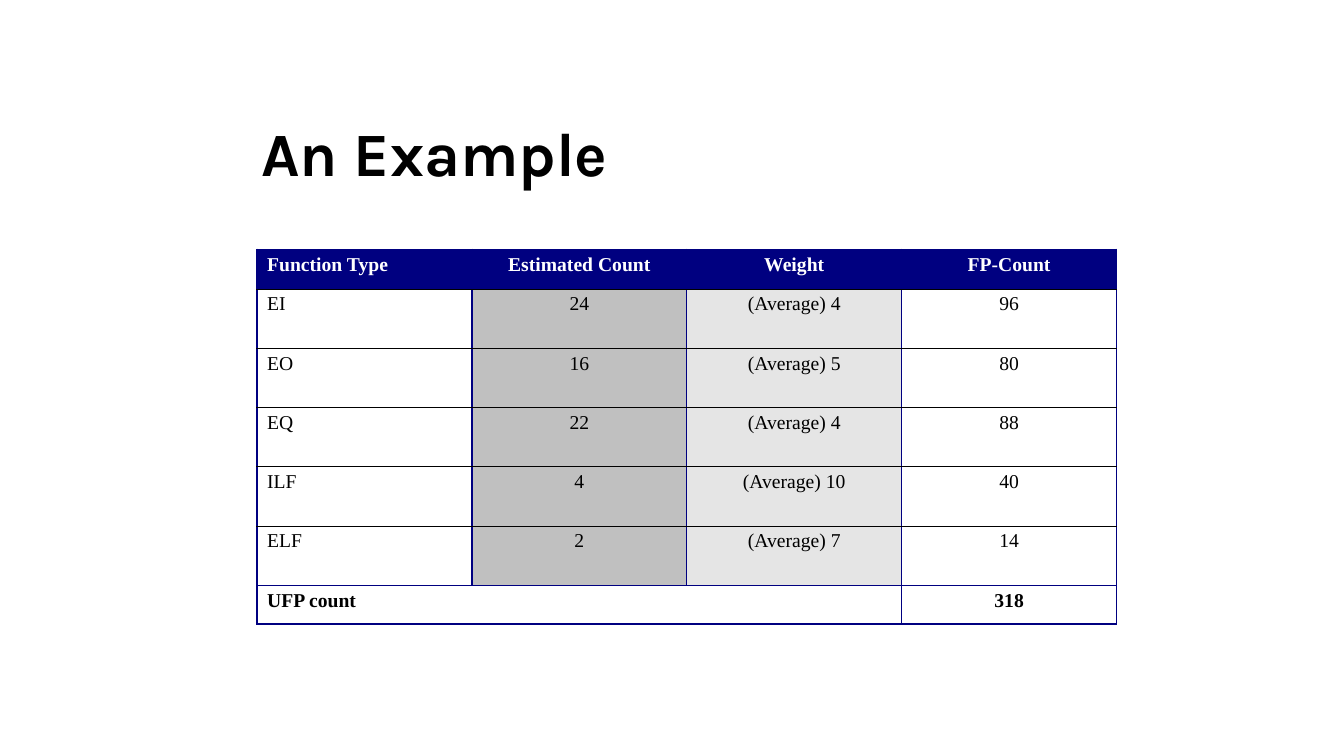
import pptx
import pptx.dml.color
import pptx.enum.text
import pptx.oxml.ns
import pptx.util
from lxml import etree

Pt = pptx.util.Pt
ALIGN = pptx.enum.text.PP_ALIGN
COLORS = {"ink": "000000", "paper": "FFFFFF", "navy": "000080",
          "count": "C0C0C0", "weight": "E5E5E5"}
HEADINGS = ["Function Type", "Estimated Count", "Weight", "FP-Count"]
FUNCTIONS = [
    ["EI", "24", "(Average) 4", "96"],
    ["EO", "16", "(Average) 5", "80"],
    ["EQ", "22", "(Average) 4", "88"],
    ["ILF", "4", "(Average) 10", "40"],
    ["ELF", "2", "(Average) 7", "14"],
]
TOTAL = ["UFP count", "", "", "318"]
HEADER_HEIGHT, TOTAL_HEIGHT = 28.6, 27.7


def color(name):
    return pptx.dml.color.RGBColor.from_string(COLORS[name])


def style_font(para, family, size, name, bold):
    for span in para.runs:
        span.font.name = family
        span.font.size = Pt(size)
        span.font.bold = bold
        span.font.color.rgb = color(name)


def add_border(cell, side, name, width):
    properties = cell._tc.get_or_add_tcPr()
    line = etree.SubElement(properties, pptx.oxml.ns.qn(f"a:ln{side}"), w=str(Pt(width)))
    fill = etree.SubElement(line, pptx.oxml.ns.qn("a:solidFill"))
    etree.SubElement(fill, pptx.oxml.ns.qn("a:srgbClr"), val=COLORS[name])


def add_title(page, left, top, width, height):
    box = page.shapes.add_textbox(Pt(left), Pt(top), Pt(width), Pt(height))
    frame = box.text_frame
    frame.word_wrap = True
    frame.vertical_anchor = pptx.enum.text.MSO_ANCHOR.MIDDLE
    frame.margin_left = Pt(1)
    frame.margin_right = frame.margin_bottom = 0
    frame.margin_top = Pt(54)
    frame.text = "An Example"
    style_font(frame.paragraphs[0], "Karla", 44, "ink", True)


def format_cell(cell, text, row, column, last_row):
    header, total = row == 0, row == last_row
    cell.margin_left = Pt(7.2 if column == 0 else 0)
    cell.margin_right = cell.margin_bottom = 0
    cell.margin_top = Pt(3.5 if header else 3.1)

    for side in "LR":
        add_border(cell, side, "navy", 1)
    for side, outer in (("T", header or total), ("B", row >= last_row - 1)):
        add_border(cell, side, "navy" if outer else "ink", 1 if outer else 0.75)

    body_fill = {1: "count", 2: "weight"}.get(column)
    fill_name = "navy" if header else None if total else body_fill
    if fill_name:
        cell.fill.solid()
        cell.fill.fore_color.rgb = color(fill_name)
    else:
        cell.fill.background()

    if text:
        cell.text_frame.text = text
        para = cell.text_frame.paragraphs[0]
        para.alignment = ALIGN.LEFT if column == 0 else ALIGN.CENTER
        para.space_before = Pt(3.5 if header else 3.1)
        style_font(para, "Times New Roman", 14, "paper" if header else "ink", header or total)


def add_count_table(page, left, top, width, height):
    rows = [HEADINGS, *FUNCTIONS, TOTAL]
    last_row = len(rows) - 1
    table = page.shapes.add_table(len(rows), len(HEADINGS), Pt(left), Pt(top),
                                  Pt(width), Pt(height)).table
    table.first_row = table.horz_banding = False
    for column in table.columns:
        column.width = Pt(width / len(HEADINGS))
    body_height = (height - HEADER_HEIGHT - TOTAL_HEIGHT) / len(FUNCTIONS)
    heights = [HEADER_HEIGHT, *[body_height] * len(FUNCTIONS), TOTAL_HEIGHT]
    for row, (texts, row_height) in enumerate(zip(rows, heights)):
        table.rows[row].height = Pt(row_height)
        for column, text in enumerate(texts):
            format_cell(table.cell(row, column), text, row, column, last_row)
    table.cell(last_row, 0).merge(table.cell(last_row, 2))


def main():
    deck = pptx.Presentation()
    deck.slide_width, deck.slide_height = Pt(960), Pt(540)
    page = deck.slides.add_slide(deck.slide_layouts[6])
    add_title(page, 185.8, 27.4, 830.9, 108)
    add_count_table(page, 183.6, 178, 614, 267.8)
    deck.save("out.pptx")


if __name__ == "__main__":
    main()
